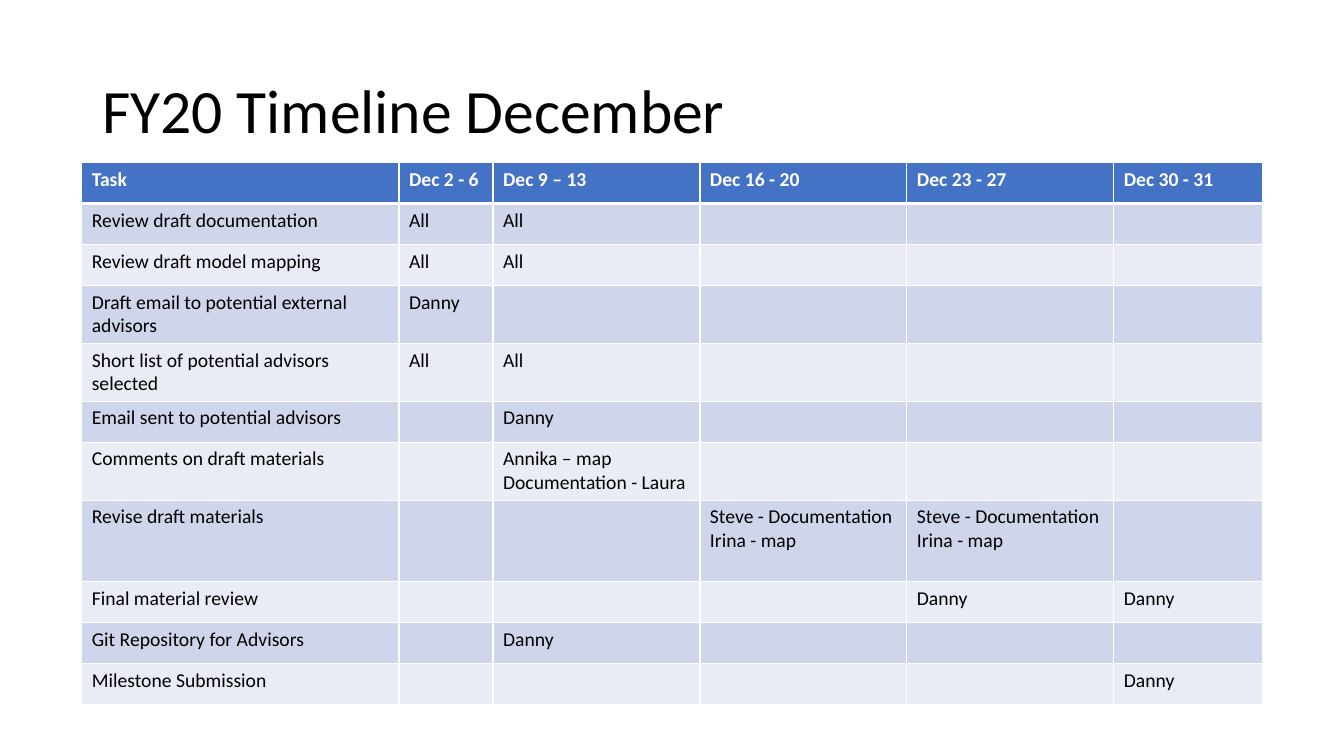
"""Build the FY20 December timeline slide."""
from lxml import etree
from pptx import Presentation
from pptx import util as u
from pptx.dml.color import RGBColor
from pptx.enum import text
from pptx.oxml import ns

BLACK = RGBColor(0x00, 0x00, 0x00)
WHITE = RGBColor(0xFF, 0xFF, 0xFF)
HEADER_BLUE = RGBColor(0x44, 0x72, 0xC4)
BAND_DARK = RGBColor(0xCF, 0xD5, 0xEA)
BAND_LIGHT = RGBColor(0xE9, 0xEB, 0xF5)

TITLE_FORMAT = {"name": "Calibri", "size": u.Pt(44), "bold": False}
HEADER_FORMAT = {"name": "Calibri", "size": u.Pt(14), "bold": True}
BODY_FORMAT = {**HEADER_FORMAT, "bold": False}

COLUMN_WIDTHS = [226.6, 67.2, 147.8, 147.8, 147.8, 106.6]
SINGLE, DOUBLE, TRIPLE = 29.24, 41.4, 58.4
REVISERS = "Steve - Documentation\nIrina - map"
SCHEDULE = [
    (SINGLE, ["Task", "Dec 2 - 6", "Dec 9 – 13", "Dec 16 - 20", "Dec 23 - 27", "Dec 30 - 31"]),
    (SINGLE, ["Review draft documentation", "All", "All", "", "", ""]),
    (SINGLE, ["Review draft model mapping", "All", "All", "", "", ""]),
    (DOUBLE, ["Draft email to potential external advisors", "Danny", "", "", "", ""]),
    (DOUBLE, ["Short list of potential advisors selected", "All", "All", "", "", ""]),
    (SINGLE, ["Email sent to potential advisors", "", "Danny", "", "", ""]),
    (DOUBLE, ["Comments on draft materials", "", "Annika – map\nDocumentation - Laura", "", "", ""]),
    (TRIPLE, ["Revise draft materials", "", "", REVISERS, REVISERS, ""]),
    (SINGLE, ["Final material review", "", "", "", "Danny", "Danny"]),
    (SINGLE, ["Git Repository for Advisors", "", "Danny", "", "", ""]),
    (SINGLE, ["Milestone Submission", "", "", "", "", "Danny"]),
]


def write_text(frame, words, font_format, color):
    """Fill a text frame, one paragraph per line of words."""
    frame.text = words
    for para in frame.paragraphs:
        for span in para.runs:
            for name, value in font_format.items():
                setattr(span.font, name, value)
            span.font.color.rgb = color


def add_title(page, words):
    """Add the slide title."""
    box = page.shapes.add_textbox(u.Pt(66), u.Pt(28.75), u.Pt(828), u.Pt(104.4))
    frame_format = {"word_wrap": True, "vertical_anchor": text.MSO_ANCHOR.MIDDLE}
    for name, value in frame_format.items():
        setattr(box.text_frame, name, value)
    write_text(box.text_frame, words, TITLE_FORMAT, BLACK)
    box.text_frame.paragraphs[0].line_spacing = 0.9


def set_borders(cell, widths):
    """Draw white cell borders with widths in points by side."""
    properties = cell._tc.get_or_add_tcPr()
    for side, width in widths.items():
        line = etree.SubElement(properties, ns.qn(f"a:ln{side}"), w=str(u.Pt(width)))
        fill = etree.SubElement(line, ns.qn("a:solidFill"))
        etree.SubElement(fill, ns.qn("a:srgbClr"), val=str(WHITE))


def style_cell(cell, words, row_number):
    """Write a cell with the look of its row."""
    is_header = row_number == 0
    band = BAND_DARK if row_number % 2 else BAND_LIGHT
    set_borders(cell, {"L": 1, "R": 1, "T": 3 if row_number == 1 else 1, "B": 3 if is_header else 1})
    cell.fill.solid()
    cell.fill.fore_color.rgb = HEADER_BLUE if is_header else band
    if words:
        write_text(cell.text_frame, words, HEADER_FORMAT if is_header else BODY_FORMAT,
                   WHITE if is_header else BLACK)


def add_schedule(page):
    """Add the task table."""
    height = sum(row_height for row_height, _ in SCHEDULE)
    table = page.shapes.add_table(len(SCHEDULE), len(COLUMN_WIDTHS), u.Pt(58.4), u.Pt(116.2),
                                  u.Pt(sum(COLUMN_WIDTHS)), u.Pt(height)).table
    for column, width in zip(table.columns, COLUMN_WIDTHS):
        column.width = u.Pt(width)
    for row_number, (row_height, entries) in enumerate(SCHEDULE):
        table.rows[row_number].height = u.Pt(row_height)
        for column_number, words in enumerate(entries):
            style_cell(table.cell(row_number, column_number), words, row_number)


def main():
    """Create and save the deck."""
    deck = Presentation()
    deck.slide_width, deck.slide_height = u.Pt(960), u.Pt(540)
    page = deck.slides.add_slide(deck.slide_layouts[6])
    add_title(page, "FY20 Timeline December")
    add_schedule(page)
    deck.save("out.pptx")


if __name__ == "__main__":
    main()
